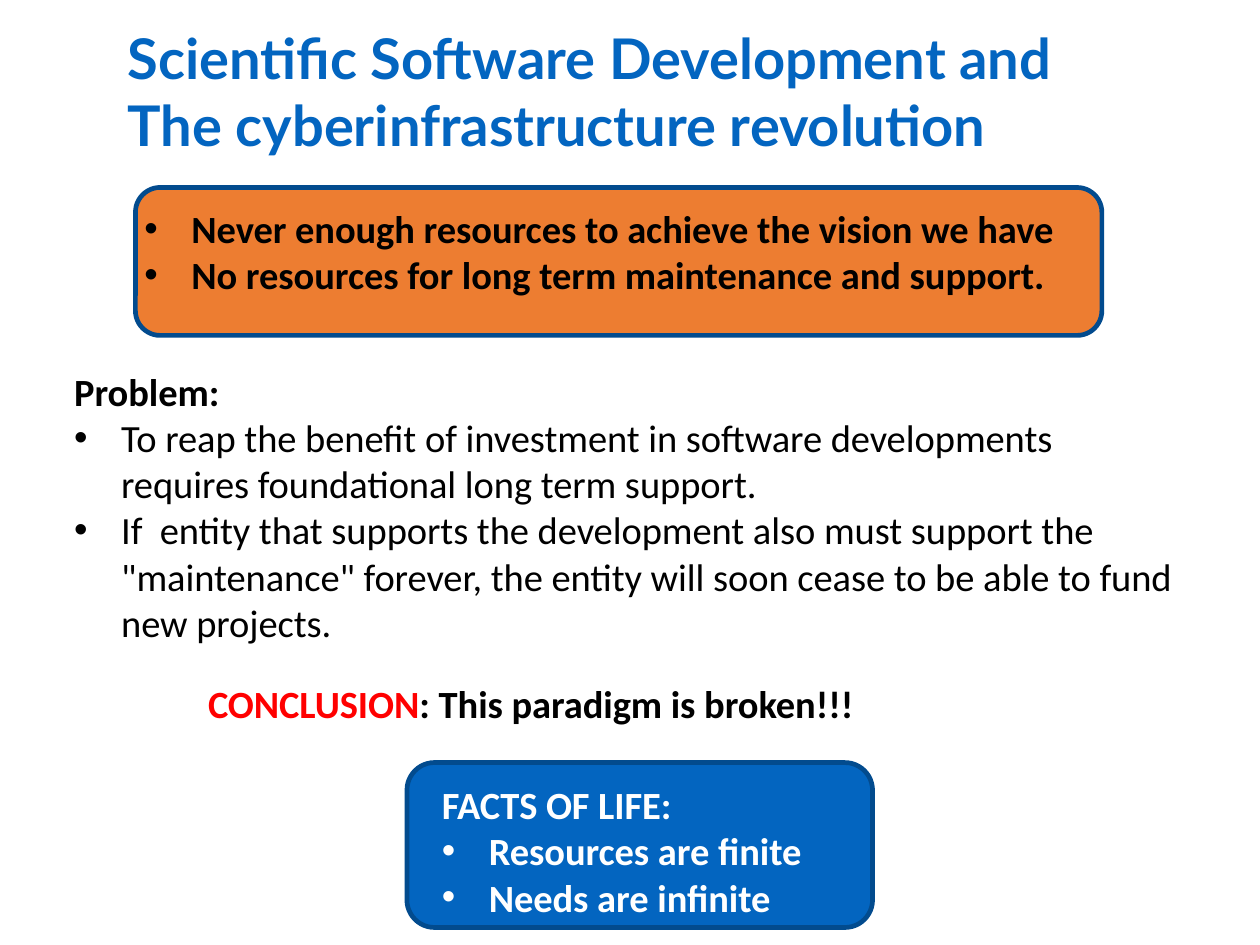
from dataclasses import dataclass

from lxml import etree
from pptx import Presentation
from pptx.dml.color import RGBColor
from pptx.enum.shapes import MSO_SHAPE
from pptx.enum.text import MSO_ANCHOR, MSO_AUTO_SIZE, PP_ALIGN
from pptx.oxml.ns import qn
from pptx.util import Inches, Pt

ROUNDED = MSO_SHAPE.ROUNDED_RECTANGLE
TOP = MSO_ANCHOR.TOP
FIXED_SIZE = MSO_AUTO_SIZE.NONE
LEFT = PP_ALIGN.LEFT

BLUE = RGBColor(0x03, 0x65, 0xC0)
DARK_BLUE = RGBColor(0x02, 0x4B, 0x8E)
ORANGE = RGBColor(0xED, 0x7D, 0x31)
RED = RGBColor(0xFF, 0x00, 0x00)
BLACK = RGBColor(0x00, 0x00, 0x00)
WHITE = RGBColor(0xFF, 0xFF, 0xFF)

# A 4:3 slide
WIDTH = Inches(7.5)
HEIGHT = WIDTH * 3 // 4
BULLET_INDENT = Inches(0.28)


@dataclass(frozen=True)
class Area:
    """Position and size in percent of the slide."""
    left: float
    top: float
    width: float
    height: float

    def lengths(self) -> tuple:
        return (int(WIDTH * self.left / 100), int(HEIGHT * self.top / 100),
                int(WIDTH * self.width / 100), int(HEIGHT * self.height / 100))


@dataclass(frozen=True)
class Panel:
    area: Area
    fill: RGBColor


@dataclass(frozen=True)
class Line:
    text: str
    bullet: bool = False
    bold: bool = True


@dataclass(frozen=True)
class TextBlock:
    area: Area
    lines: tuple
    color: RGBColor = BLACK
    font: str = "Calibri"
    size: float = 16.5
    wrap: bool = True


PANELS = (
    Panel(Area(10.75, 19.85, 76.7, 15.65), ORANGE),
    Panel(Area(32.3, 80.7, 36.95, 17.45), BLUE),
)
TITLE = TextBlock(
    Area(8.8, 1.6, 86.3, 16.2),
    (Line("Scientific Software Development and"),
     Line("The cyberinfrastructure revolution")),
    BLUE, "Lato", 24, wrap=False)
PROBLEM = TextBlock(
    Area(4.55, 38.05, 90.5, 31.5),
    (Line("Problem:"),
     Line("To reap the benefit of investment in software developments "
          "requires foundational long term support.", True, False),
     Line("If  entity that supports the development also must support the "
          "\"maintenance\" forever, the entity will soon cease to be able "
          "to fund new projects.", True, False)))
RESOURCES = TextBlock(
    Area(10.15, 20.8, 76, 11.7),
    (Line("Never enough resources to achieve the vision we have", True),
     Line("No resources for long term maintenance and support.", True)))
FACTS = TextBlock(
    Area(33.75, 81.8, 39.1, 16.5),
    (Line("FACTS OF LIFE:"),
     Line("Resources are finite", True),
     Line("Needs are infinite", True)),
    WHITE)
CONCLUSION = TextBlock(
    Area(15.2, 71.1, 60.4, 6.8),
    (Line("CONCLUSION"),), RED)


def place(shape, area: Area) -> None:
    shape.left, shape.top, shape.width, shape.height = area.lengths()


def set_bullet(paragraph, bullet: bool) -> None:
    properties = paragraph._p.get_or_add_pPr()
    indent = BULLET_INDENT if bullet else 0
    properties.set("marL", str(indent))
    properties.set("indent", str(-indent))
    if bullet:
        etree.SubElement(properties, qn("a:buFont"), typeface="Arial")
        etree.SubElement(properties, qn("a:buChar"), char="•")
    else:
        etree.SubElement(properties, qn("a:buNone"))


def style_run(run, block: TextBlock, bold: bool, color: RGBColor) -> None:
    run.font.name = block.font
    run.font.size = Pt(block.size)
    run.font.bold = bold
    run.font.color.rgb = color


def write_block(shape, block: TextBlock) -> None:
    place(shape, block.area)
    text_frame = shape.text_frame
    text_frame.text = "\n".join(line.text for line in block.lines)
    text_frame.auto_size = FIXED_SIZE
    text_frame.word_wrap = block.wrap
    text_frame.vertical_anchor = TOP
    for paragraph, line in zip(text_frame.paragraphs, block.lines):
        set_bullet(paragraph, line.bullet)
        paragraph.alignment = LEFT
        paragraph.space_before = Pt(0)
        for run in paragraph.runs:
            style_run(run, block, line.bold, block.color)


def add_panel(slide, panel: Panel) -> None:
    shape = slide.shapes.add_shape(ROUNDED, *panel.area.lengths())
    shape.shadow.inherit = False
    shape.fill.solid()
    shape.fill.fore_color.rgb = panel.fill
    shape.line.color.rgb = DARK_BLUE
    shape.line.width = Pt(2)


def add_text(slide, block: TextBlock):
    shape = slide.shapes.add_textbox(*block.area.lengths())
    write_block(shape, block)
    return shape


def main() -> None:
    presentation = Presentation()
    presentation.slide_width, presentation.slide_height = WIDTH, HEIGHT
    slide = presentation.slides.add_slide(presentation.slide_layouts[1])

    # Title and problem statement
    write_block(slide.shapes.title, TITLE)
    write_block(slide.placeholders[1], PROBLEM)

    # Coloured panels and the text over them
    for panel in PANELS:
        add_panel(slide, panel)
    for block in (RESOURCES, FACTS):
        add_text(slide, block)

    # Conclusion: red keyword, black remainder
    conclusion = add_text(slide, CONCLUSION)
    remainder = conclusion.text_frame.paragraphs[0].add_run()
    remainder.text = ": This paradigm is broken!!!"
    style_run(remainder, CONCLUSION, True, BLACK)

    presentation.save("out.pptx")


if __name__ == "__main__":
    main()
